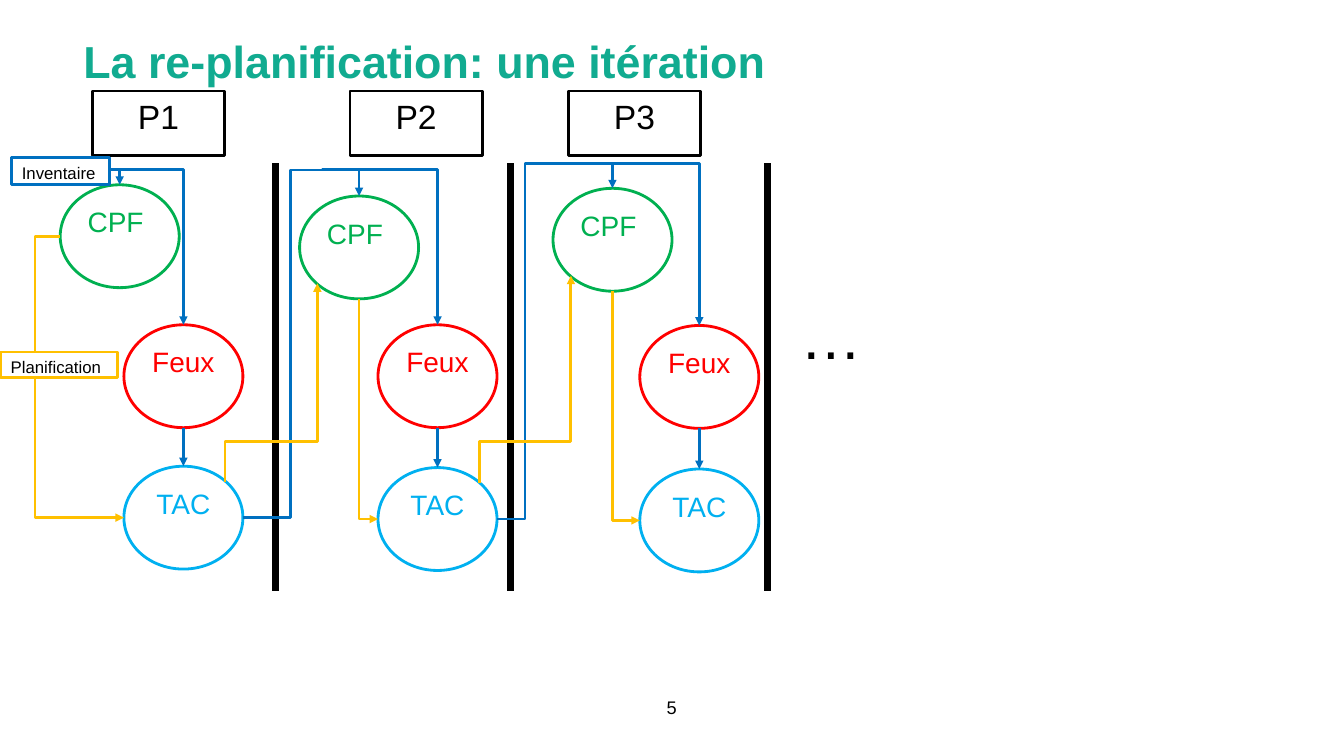
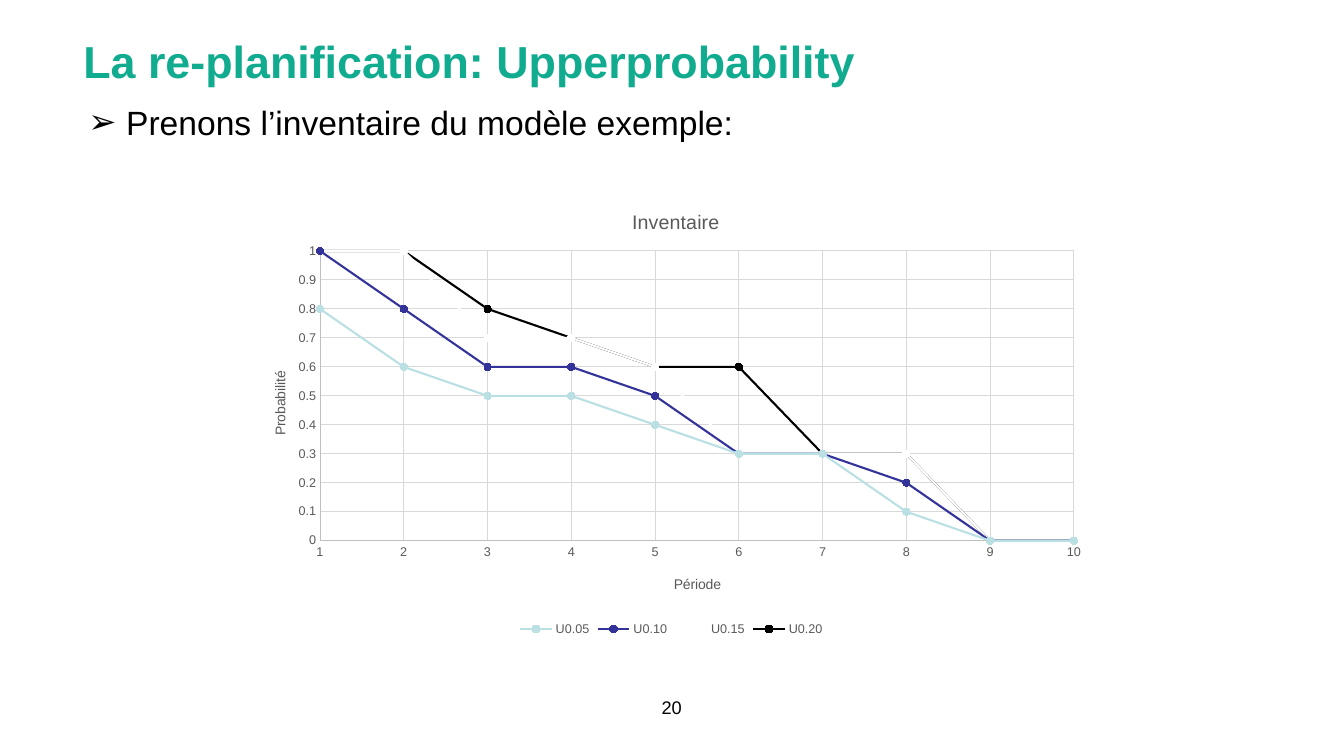
from dataclasses import dataclass

from lxml.etree import SubElement
from pptx import Presentation
from pptx.chart.data import XyChartData
from pptx.dml.color import RGBColor
from pptx.enum.chart import (XL_CHART_TYPE, XL_LEGEND_POSITION, XL_MARKER_STYLE,
                             XL_TICK_MARK)
from pptx.enum.shapes import MSO_CONNECTOR as LINK, MSO_SHAPE as SHAPE
from pptx.enum.text import MSO_ANCHOR as ANCHOR, PP_ALIGN as ALIGN
from pptx.oxml.ns import qn
from pptx.util import Pt


@dataclass(frozen=True)
class Theme:
    font: str = "Arial"
    title: str = "11AB90"
    ink: str = "000000"
    paper: str = "FFFFFF"
    fire: str = "FF0000"
    forest: str = "00B050"
    tactic: str = "00B0F0"
    inventory: str = "0070C0"
    planning: str = "FFC000"
    chart_text: str = "595959"
    axis: str = "BFBFBF"
    grid: str = "D9D9D9"
    series: tuple = ("BBE0E3", "333399", "FFFFFF", "000000")
    title_size: int = 32
    dots_size: int = 44
    body_size: int = 24
    node_size: int = 20
    chart_title_size: int = 14
    number_size: int = 13
    label_size: int = 12
    axis_title_size: int = 10
    tick_size: int = 9
    line: float = 2
    separator: float = 5


# Connection sites of an ellipse: index, then place as a share of width and height
SITES = {"top": (0, 0.5, 0), "left": (2, 0, 0.5), "lower left": (3, 0.15, 0.85),
         "bottom": (4, 0.5, 1), "right": (6, 1, 0.5), "upper right": (7, 0.85, 0.15)}


def set_all(target, **values):
    for name, value in values.items():
        setattr(target, name, value)


def set_line(line, color, width):
    line.color.rgb = RGBColor.from_string(color)
    line.width = Pt(width)


def lay_out(parent, index, **shares):
    """Give a chart part a manual layout, in shares of the chart's size."""
    for old in parent.findall(qn("c:layout")):
        parent.remove(old)
    layout = parent.makeelement(qn("c:layout"), {})
    parent.insert(index, layout)
    manual = SubElement(layout, qn("c:manualLayout"))
    if "w" in shares:
        SubElement(manual, qn("c:layoutTarget"), val="inner")
    for side in "xy":
        SubElement(manual, qn(f"c:{side}Mode"), val="edge")
    for side, share in shares.items():
        SubElement(manual, qn(f"c:{side}"), val=str(share))


class Deck:
    def __init__(self, theme):
        self.theme = theme
        self.presentation = Presentation()
        set_all(self.presentation, slide_width=Pt(960), slide_height=Pt(540))
        self.slide = None

    def start_slide(self, title, number):
        theme = self.theme
        self.slide = self.presentation.slides.add_slide(
            self.presentation.slide_layouts[6])
        self.text(title, (52.5, 6, 816, 60), theme.title_size, theme.title,
                  anchor=ANCHOR.BOTTOM, bold=True)
        self.text(str(number), (453.5, 491, 52.5, 28), theme.number_size,
                  align=ALIGN.CENTER, anchor=ANCHOR.MIDDLE)

    def style_font(self, font, size, color, bold=False):
        set_all(font, name=self.theme.font, size=Pt(size), bold=bold)
        font.color.rgb = RGBColor.from_string(color)

    def set_text(self, shape, text, size, color, align=ALIGN.LEFT, anchor=ANCHOR.TOP,
                 bold=False, bullet=None):
        frame = shape.text_frame
        set_all(frame, word_wrap=True, vertical_anchor=anchor)
        paragraph = frame.paragraphs[0]
        paragraph.text = text
        paragraph.alignment = align
        if bullet:
            properties = paragraph._p.get_or_add_pPr()
            for name, points in {"marL": 27, "indent": -27}.items():
                properties.set(name, str(Pt(points)))
            SubElement(properties, qn("a:buFont"), typeface=self.theme.font)
            SubElement(properties, qn("a:buChar"), char=bullet)
        self.style_font(paragraph.runs[0].font, size, color, bold)

    def text(self, text, box, size, color=None, **options):
        shape = self.slide.shapes.add_textbox(*map(Pt, box))
        self.set_text(shape, text, size, color or self.theme.ink, **options)

    def node(self, kind, text, box, size, color, line, fill=None, align=ALIGN.CENTER):
        shape = self.slide.shapes.add_shape(kind, *map(Pt, box))
        shape.shadow.inherit = False
        if fill:
            shape.fill.solid()
            shape.fill.fore_color.rgb = RGBColor.from_string(fill)
        else:
            shape.fill.background()
        set_line(shape.line, line, self.theme.line)
        self.set_text(shape, text, size, color, align)
        return shape

    def line(self, kind, start, end, color, width):
        connector = self.slide.shapes.add_connector(kind, *map(Pt, (*start, *end)))
        set_line(connector.line, color, width)
        SubElement(connector._element.spPr, qn("a:effectLst"))
        return connector

    def arrow(self, start, end, color, bends=None, vertical=False):
        """Link two ends, each a point or (ellipse, site).

        bends lists where each turn lies, on the x and y axes in turn,
        or y first when the arrow leaves vertically.
        """
        glue, points = [], []
        for tag, (place, site) in (("a:stCxn", start), ("a:endCxn", end)):
            if site in SITES:
                index, across, down = SITES[site]
                glue.append((tag, place.shape_id, index))
                points.append((place.left.pt + across * place.width.pt,
                               place.top.pt + down * place.height.pt))
            else:
                points.append((place, site))
        first, last = points
        rotation = 0
        if vertical:
            rotation = 90 if last[1] < first[1] else 270
            turn = 1 if rotation == 90 else -1
            middle = [(a + b) / 2 for a, b in zip(first, last)]
            box = [(middle[0] + turn * (y - middle[1]),
                    middle[1] - turn * (x - middle[0])) for x, y in points]
        else:
            box = points
        kind = LINK.STRAIGHT if bends is None else LINK.ELBOW
        connector = self.line(kind, *box, color, self.theme.line)
        element = connector._element
        SubElement(element.spPr.find(qn("a:ln")), qn("a:tailEnd"), type="triangle")
        for tag, shape_id, index in glue:
            SubElement(element.find(".//" + qn("p:cNvCxnSpPr")), qn(tag),
                       id=str(shape_id), idx=str(index))
        if bends is None:
            return
        if rotation:
            element.spPr.find(qn("a:xfrm")).set("rot", str(rotation * 60000))
        geometry = element.spPr.find(qn("a:prstGeom"))
        geometry.set("prst", f"bentConnector{len(bends) + 2}")
        guides = geometry.find(qn("a:avLst"))
        if guides is None:
            guides = SubElement(geometry, qn("a:avLst"))
        for number, bend in enumerate(bends):
            axis = (number + vertical) % 2
            share = (bend - first[axis]) / (last[axis] - first[axis])
            SubElement(guides, qn("a:gd"), name=f"adj{number + 1}",
                       fmla=f"val {round(share * 100000)}")

    def chart_title(self, title, text, size, x, y):
        title.text_frame.text = text
        self.style_font(title.text_frame.paragraphs[0].runs[0].font, size,
                        self.theme.chart_text)
        lay_out(title._element, 1, x=x, y=y)

    def scatter(self, box, title, axis_titles, series):
        theme = self.theme
        data = XyChartData()
        for name, values in series.items():
            points = data.add_series(name)
            for period, value in enumerate(values, 1):
                points.add_data_point(period, value)
        chart = self.slide.shapes.add_chart(
            XL_CHART_TYPE.XY_SCATTER_SMOOTH, *map(Pt, box), data).chart
        self.style_font(chart.font, theme.tick_size, theme.chart_text)
        chart.has_title = True
        self.chart_title(chart.chart_title, title, theme.chart_title_size, 0.45, 0.04)
        chart.has_legend = True
        set_all(chart.legend, position=XL_LEGEND_POSITION.BOTTOM,
                include_in_layout=False)
        self.style_font(chart.legend.font, theme.tick_size, theme.chart_text)
        scales = ((chart.category_axis, (1, 10, 1), (0.5, 0.85)),
                  (chart.value_axis, (0, 1, 0.1), (0.03, 0.4)))
        for text, (axis, (low, high, step), place) in zip(axis_titles, scales):
            set_all(axis, minimum_scale=low, maximum_scale=high, major_unit=step,
                    has_major_gridlines=True, has_title=True,
                    major_tick_mark=XL_TICK_MARK.NONE,
                    minor_tick_mark=XL_TICK_MARK.NONE)
            set_line(axis.format.line, theme.axis, 0.75)
            set_line(axis.major_gridlines.format.line, theme.grid, 0.75)
            self.style_font(axis.tick_labels.font, theme.tick_size, theme.chart_text)
            self.chart_title(axis.axis_title, text, theme.axis_title_size, *place)
        plot = chart.plots[0]
        plot.vary_by_categories = False
        for points, color in zip(plot.series, theme.series):
            points.smooth = True
            set_line(points.format.line, color, 1.5)
            marker = points.marker
            set_all(marker, style=XL_MARKER_STYLE.CIRCLE, size=5)
            marker.format.fill.solid()
            marker.format.fill.fore_color.rgb = RGBColor.from_string(color)
            set_line(marker.format.line, color, 0.75)
        lay_out(chart._chartSpace.find(".//" + qn("c:plotArea")), 0,
                x=0.09, y=0.14, w=0.88, h=0.64)


@dataclass
class Period:
    header: float
    separator: float
    cpf: tuple
    feux: tuple
    tac: tuple
    bus_left: float
    bus_top: float
    feed: float = 0


def build_iteration(deck):
    theme = deck.theme
    deck.start_slide("La re-planification: une itération", 5)
    periods = (
        Period(66, 196.5, (43, 132), (88.5, 232), (88.5, 333), 49.5, 121.5),
        Period(250, 364.5, (214, 140), (270, 232), (270, 334), 230.5, 121.5, 207.5),
        Period(406, 548, (395, 134.5), (457, 232.5), (457, 335), 417.5, 117, 375))
    steps = (("CPF", theme.forest, ALIGN.LEFT), ("Feux", theme.fire, ALIGN.CENTER),
             ("TAC", theme.tactic, ALIGN.CENTER))
    previous_tac = None
    for number, period in enumerate(periods, 1):
        deck.node(SHAPE.RECTANGLE, f"P{number}", (period.header, 65, 94.5, 46),
                  theme.body_size, theme.ink, theme.ink)
        deck.line(LINK.STRAIGHT, (period.separator, 116.5), (period.separator, 422.5),
                  theme.ink, theme.separator)
        places = (period.cpf, period.feux, period.tac)
        cpf, feux, tac = (
            deck.node(SHAPE.OVAL, name, (*place, 85, 73.5), theme.node_size,
                      color, color, align=align)
            for (name, color, align), place in zip(steps, places))
        deck.arrow((feux, "bottom"), (tac, "top"), theme.inventory)
        deck.arrow((period.bus_left, period.bus_top), (feux, "top"), theme.inventory,
                   [period.bus_top - 0.5], vertical=True)
        if previous_tac:
            deck.arrow((previous_tac, "right"), (cpf, "top"), theme.inventory,
                       [period.feed, period.bus_top])
            deck.arrow((previous_tac, "upper right"), (cpf, "lower left"),
                       theme.planning, [315.5], vertical=True)
            deck.arrow((cpf, "bottom"), (tac, "left"), theme.planning, [],
                       vertical=True)
        else:
            deck.arrow((period.cpf[0] + 42.5, period.bus_top), (cpf, "top"),
                       theme.inventory)
            deck.arrow((cpf, "left"), (tac, "left"), theme.planning, [25])
        previous_tac = tac
    for text, box, color in (
            ("Inventaire", (8.5, 112.5, 70, 19.5), theme.inventory),
            ("Planification", (0.5, 251.5, 83.5, 18), theme.planning)):
        deck.node(SHAPE.RECTANGLE, text, box, theme.label_size, theme.ink, color,
                  fill=theme.paper, align=ALIGN.LEFT)
    deck.text("…", (564.5, 209.5, 158.5, 60.5), theme.dots_size)


def build_upper_probability(deck):
    deck.start_slide("La re-planification: Upperprobability", 20)
    deck.text("Prenons l’inventaire du modèle exemple:", (56, 69, 811, 36),
              deck.theme.body_size, bullet="➢")
    deck.scatter((173.5, 134, 612, 323.5), "Inventaire", ("Période", "Probabilité"), {
        "U0.05": (0.8, 0.6, 0.5, 0.5, 0.4, 0.3, 0.3, 0.1, 0, 0),
        "U0.10": (1, 0.8, 0.6, 0.6, 0.5, 0.3, 0.3, 0.2, 0, 0),
        "U0.15": (1, 1, 0.7, 0.7, 0.6, 0.3, 0.3, 0.3, 0, 0),
        "U0.20": (1, 1, 0.8, 0.7, 0.6, 0.6, 0.3, 0.3, 0, 0)})


def main():
    deck = Deck(Theme())
    build_iteration(deck)
    build_upper_probability(deck)
    deck.presentation.save("out.pptx")


if __name__ == "__main__":
    main()
